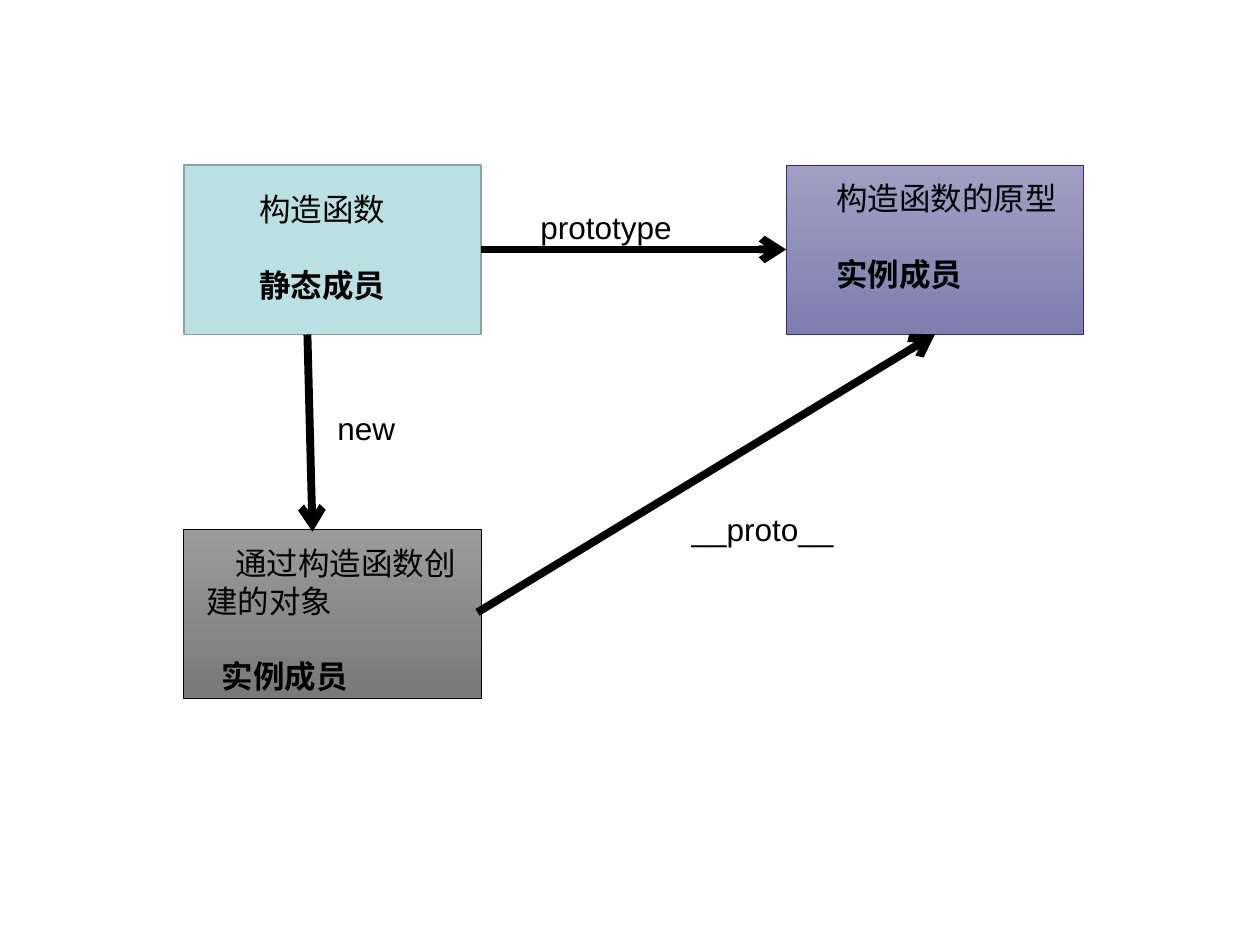
from lxml import etree
from pptx import Presentation
from pptx.dml.color import RGBColor
from pptx.enum.shapes import MSO_CONNECTOR, MSO_SHAPE
from pptx.enum.text import MSO_ANCHOR
from pptx.oxml.ns import qn
from pptx.util import Inches, Pt

RECT = MSO_SHAPE.RECTANGLE
STRAIGHT = MSO_CONNECTOR.STRAIGHT
TOP = MSO_ANCHOR.TOP

BLACK = RGBColor(0x00, 0x00, 0x00)
AQUA = RGBColor(0xBB, 0xE0, 0xE3)
AQUA_EDGE = RGBColor(0x89, 0xA4, 0xA7)
GREYS = (RGBColor(0x9B, 0x9B, 0x9B), RGBColor(0x79, 0x79, 0x79))
VIOLETS = (RGBColor(0x9F, 0x9F, 0xC3), RGBColor(0x7E, 0x7E, 0xAF))
VIOLET_EDGE = RGBColor(0x2D, 0x2D, 0x89)

FONT = {"name": "Arial", "size": Pt(18)}
PARAGRAPH_GAP = Pt(21.5)

# Positions are percentages of the slide's width and height.
SLIDE_W, SLIDE_H = Inches(10), Inches(7.5)
BOX_W, BOX_H = 23.6, 17.9
LEFT, RIGHT = 14.6, 62.4
UPPER, LOWER = 17.5, 56
LABEL_H = 5.33

# box: left, top, fills, edge, edge width; text: offset x, offset y, width,
# height; then (words, bold, first-line indent in inches)
NODES = [
    ((LEFT, UPPER, (AQUA,), AQUA_EDGE, 1), (2.7, 2, 19.3, 13.33),
     [("构造函数", False, 0.23), ("静态成员", True, 0.23)]),
    ((LEFT, LOWER, GREYS, BLACK, 0.5), (0.8, 0.93, 22.8, 17.33),
     [("通过构造函数创建的对象", False, 0.23), ("实例成员", True, 0.12)]),
    ((RIGHT, UPPER, VIOLETS, VIOLET_EDGE, 0.5), (1.3, 0.8, 21.7, 13.33),
     [("构造函数的原型", False, 0.17), ("实例成员", True, 0.17)]),
]

# start, end, label words, label left, top and width
LINKS = [
    ((LEFT + BOX_W, 26.4), (RIGHT, 26.4), "prototype", (41.9, 21.33, 16)),
    ((24.4, UPPER + BOX_H), (24.8, 56.27), "new", (25.8, 42.67, 13.2)),
    ((37.9, 64.8), (RIGHT + BOX_W / 2, UPPER + BOX_H), "__proto__",
     (53.9, 53.33, 23.7)),
]


def across(share):
    return int(SLIDE_W * share / 100)


def down(share):
    return int(SLIDE_H * share / 100)


def frame(x, y, w, h):
    return across(x), down(y), across(w), down(h)


def add_text(s, box, lines):
    tf = s.shapes.add_textbox(*frame(*box)).text_frame
    tf.word_wrap = True
    tf.vertical_anchor = TOP
    for i, (words, bold, indent) in enumerate(lines):
        p = tf.paragraphs[0] if i == 0 else tf.add_paragraph()
        if i:
            p.space_before = PARAGRAPH_GAP
        if indent:
            p._p.get_or_add_pPr().set("indent", str(Inches(indent)))
        r = p.add_run()
        r.text = words
        for key, value in {**FONT, "bold": bold}.items():
            setattr(r.font, key, value)
        r.font.color.rgb = BLACK


def add_box(s, x, y, fills, edge, edge_width):
    sp = s.shapes.add_shape(RECT, *frame(x, y, BOX_W, BOX_H))
    sp.shadow.inherit = False
    if len(fills) == 1:
        sp.fill.solid()
        sp.fill.fore_color.rgb = fills[0]
    else:
        sp.fill.gradient()
        sp.fill.gradient_angle = 270
        for position, (stop, color) in enumerate(
                zip(sp.fill.gradient_stops, fills)):
            stop.position = position
            stop.color.rgb = color
    sp.line.color.rgb = edge
    sp.line.width = Pt(edge_width)


def add_arrow(s, start, end):
    cn = s.shapes.add_connector(STRAIGHT, across(start[0]), down(start[1]),
                                across(end[0]), down(end[1]))
    cn.line.color.rgb = BLACK
    cn.line.width = Pt(4.5)
    etree.SubElement(cn.line._get_or_add_ln(), qn("a:tailEnd"), type="arrow")
    etree.SubElement(cn._element.spPr, qn("a:effectLst"))


def add_diagram(s):
    """Place the boxes, then their text, then the labelled arrows."""
    for box, _, _ in NODES:
        add_box(s, *box)
    for (x, y, *_), (dx, dy, w, h), lines in NODES:
        add_text(s, (x + dx, y + dy, w, h), lines)
    for start, end, label, place in LINKS:
        add_arrow(s, start, end)
        add_text(s, (*place, LABEL_H), [(label, False, 0)])


def main():
    prs = Presentation()
    prs.slide_width, prs.slide_height = SLIDE_W, SLIDE_H
    add_diagram(prs.slides.add_slide(prs.slide_layouts[6]))
    prs.save("out.pptx")


if __name__ == "__main__":
    main()
